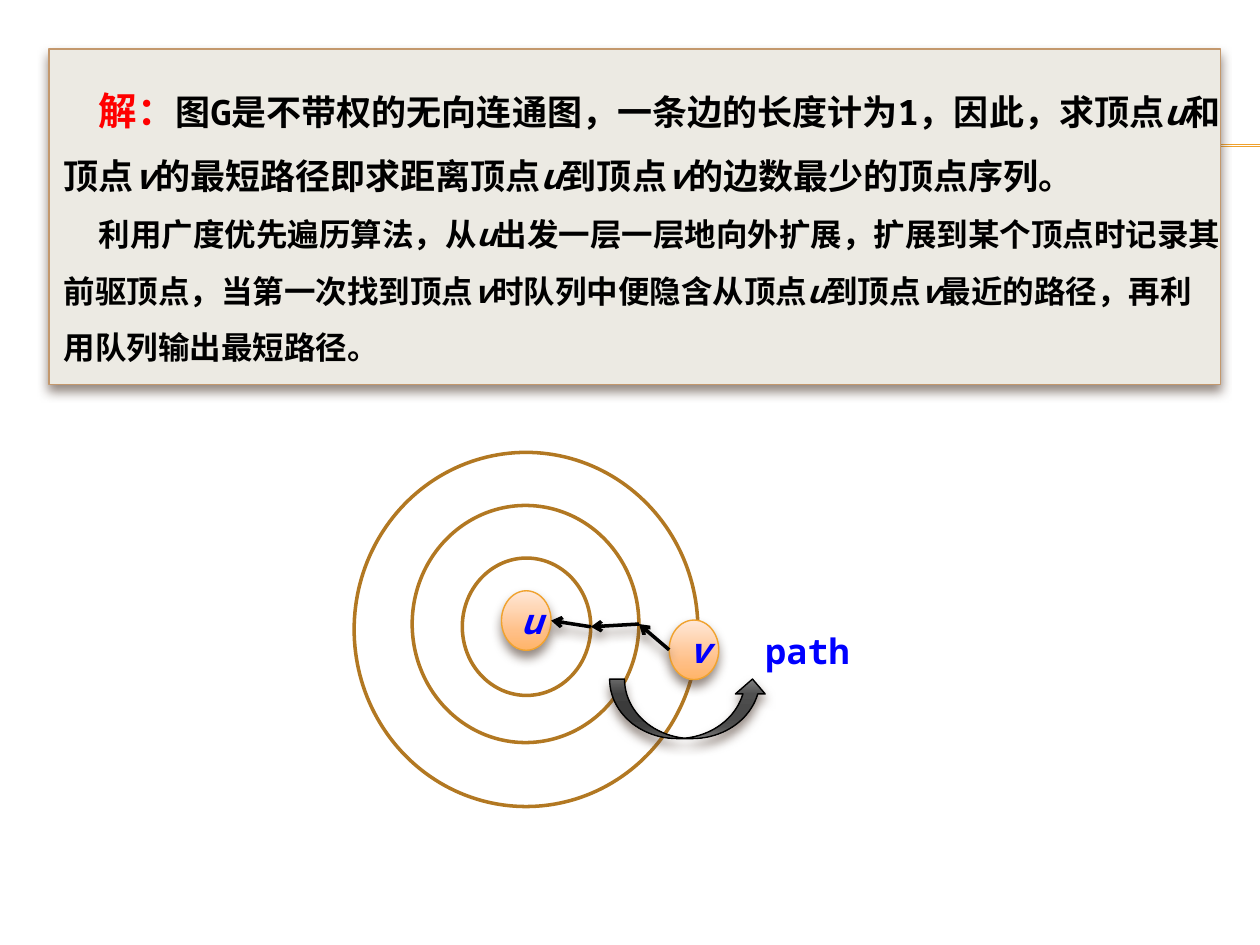
import pptx
import pptx.util
import pptx.dml.color
import pptx.enum.shapes
import pptx.enum.text
import pptx.oxml
import pptx.oxml.ns
from pptx.util import Cm

RGBColor = pptx.dml.color.RGBColor
MSO_SHAPE = pptx.enum.shapes.MSO_SHAPE
STRAIGHT = pptx.enum.shapes.MSO_CONNECTOR.STRAIGHT
Pt = pptx.util.Pt
PP_ALIGN = pptx.enum.text.PP_ALIGN

BLACK = RGBColor(0x00, 0x00, 0x00)
BLUE = RGBColor(0x00, 0x00, 0xFF)
RED = RGBColor(0xFF, 0x00, 0x00)
ORANGE = RGBColor(0xF0, 0xA2, 0x2E)
BROWN = RGBColor(0xB2, 0x78, 0x22)
TAN = RGBColor(0xC3, 0x98, 0x6D)
BEIGE = RGBColor(0xEC, 0xEA, 0xE3)
SHADOW = RGBColor(0x4E, 0x3B, 0x30)
PEACH_STOPS = [(0, "FFE7D7"), (72, "FFBE84"), (100, "FFB468")]
GREY_STOPS = [(0, "828282"), (25, "505050"), (50, "4A4A4A"),
              (65, "4A4A4A"), (80, "505050"), (100, "7A7A7A")]
MONO = "Noto Sans Mono"
NS = pptx.oxml.ns.nsdecls("a")


def set_effects(item, shadow=True):
    """Replace inherited effects with a soft drop shadow, or with none."""
    outer = (f'<a:outerShdw blurRad="{Pt(6)}" dist="{Pt(4)}" dir="5400000" rotWithShape="0">'
             f'<a:srgbClr val="{SHADOW}"><a:alpha val="60000"/></a:srgbClr></a:outerShdw>')
    item._element.spPr.append(pptx.oxml.parse_xml(
        f'<a:effectLst {NS}>{outer if shadow else ""}</a:effectLst>'))


def fill_gradient(shape, stops):
    """Fill from top to bottom with (percent, hex colour) stops."""
    shape.fill.gradient()
    shape.fill.gradient_angle = 270
    stop_list = shape._element.spPr.find(".//" + pptx.oxml.ns.qn("a:gsLst"))
    for old_stop in list(stop_list):
        stop_list.remove(old_stop)
    for percent, colour in stops:
        stop_list.append(pptx.oxml.parse_xml(
            f'<a:gs {NS} pos="{percent * 1000}"><a:srgbClr val="{colour}"/></a:gs>'))


deck = pptx.Presentation()
deck.slide_width, deck.slide_height = Cm(25.4), Cm(19.05)
slide = deck.slides.add_slide(deck.slide_layouts[6])
shapes = slide.shapes

# Double rule behind the explanation
for y in (2.92, 2.95):
    rule = shapes.add_connector(STRAIGHT, Cm(1.42), Cm(y), Cm(25.4), Cm(y))
    rule.line.color.rgb = ORANGE
    rule.line.width = Pt(0.75)
    set_effects(rule, shadow=False)

# Explanation
explanation = shapes.add_shape(MSO_SHAPE.RECTANGLE, Cm(0.99), Cm(0.99), Cm(23.62), Cm(6.76))
explanation.fill.solid()
explanation.fill.fore_color.rgb = BEIGE
explanation.line.color.rgb = TAN
explanation.line.width = Pt(0.79)
set_effects(explanation)
frame = explanation.text_frame
frame.word_wrap = True
frame.vertical_anchor = pptx.enum.text.MSO_ANCHOR.TOP
frame.margin_left = frame.margin_top = frame.margin_bottom = Cm(0.3)
frame.margin_right = 0

# Vertex names stand alone between the pieces of text and are set in italics
solution = [
    (20, ["解：", "图G是不带权的无向连通图，一条边的长度计为1，因此，求顶点", "u", "和顶点", "v",
          "的最短路径即求距离顶点", "u", "到顶点", "v", "的边数最少的顶点序列。"]),
    (18, ["利用广度优先遍历算法，从", "u",
          "出发一层一层地向外扩展，扩展到某个顶点时记录其前驱顶点，当第一次找到顶点", "v",
          "时队列中便隐含从顶点", "u", "到顶点", "v", "最近的路径，再利用队列输出最短路径。"]),
]
for number, (size, pieces) in enumerate(solution):
    paragraph = frame.paragraphs[0] if number == 0 else frame.add_paragraph()
    paragraph.alignment = PP_ALIGN.LEFT
    paragraph.line_spacing = 1.5
    paragraph._p.get_or_add_pPr().set("indent", str(Cm(0.7)))
    paragraph.font.bold = True
    for piece in pieces:
        run = paragraph.add_run()
        run.text = piece
        is_heading = piece == "解："
        run.font.name = "Noto Sans CJK SC" if is_heading else MONO
        run.font.size = Pt(22 if is_heading else size)
        run.font.color.rgb = RED if is_heading else BLACK
        run.font.italic = piece in ("u", "v")

# Breadth-first layers, from the inside out
layers = []
for left, top, width, height in [(9.32, 11.25, 2.59, 2.77),
                                 (8.31, 10.19, 4.57, 4.78),
                                 (7.14, 9.12, 6.93, 7.14)]:
    layer = shapes.add_shape(MSO_SHAPE.OVAL, Cm(left), Cm(top), Cm(width), Cm(height))
    layer.fill.background()
    layer.line.color.rgb = BROWN
    layer.line.width = Pt(2)
    layer.shadow.inherit = False
    layers.append(layer)

# Start and target vertices
vertices = {}
for name, left, top in [("u", 10.11, 11.91), ("v", 13.49, 12.5)]:
    vertex = shapes.add_shape(MSO_SHAPE.OVAL, Cm(left), Cm(top), Cm(1), Cm(1.2))
    fill_gradient(vertex, PEACH_STOPS)
    vertex.line.color.rgb = ORANGE
    vertex.line.width = Pt(0.79)
    set_effects(vertex)
    label = vertex.text_frame.paragraphs[0]
    label.text = name
    label.alignment = PP_ALIGN.CENTER
    label.font.name = MONO
    label.font.size = Pt(20)
    label.font.bold = label.font.italic = True
    label.font.color.rgb = BLUE
    vertices[name] = vertex

# Predecessor steps from v back to u, through the right side of each layer
target = vertices["v"]
stops = [(target.left, target.top + target.height // 2)]
for oval in (layers[1], layers[0], vertices["u"]):
    stops.append((oval.left + oval.width, oval.top + oval.height // 2))
for start, end in zip(stops, stops[1:]):
    step = shapes.add_connector(STRAIGHT, *start, *end)
    step.line.color.rgb = BLACK
    step.line.width = Pt(2)
    step.line._get_or_add_ln().append(
        pptx.oxml.parse_xml(f'<a:tailEnd {NS} type="arrow"/>'))
    set_effects(step)

# Curved arrow towards the path label
path_arrow = shapes.add_shape(MSO_SHAPE.CURVED_UP_ARROW, Cm(12.29), Cm(13.69), Cm(3.18), Cm(1.2))
fill_gradient(path_arrow, GREY_STOPS)
path_arrow.line.color.rgb = BLACK
path_arrow.line.width = Pt(0.79)
set_effects(path_arrow)

path_label = shapes.add_textbox(Cm(15.29), Cm(12.7), Cm(1.98), Cm(0.86))
frame = path_label.text_frame
frame.margin_left = frame.margin_right = frame.margin_top = frame.margin_bottom = 0
caption = frame.paragraphs[0]
caption.text = "path"
caption.alignment = PP_ALIGN.CENTER
caption.font.name = MONO
caption.font.size = Pt(20)
caption.font.bold = True
caption.font.color.rgb = BLUE

deck.save("out.pptx")
